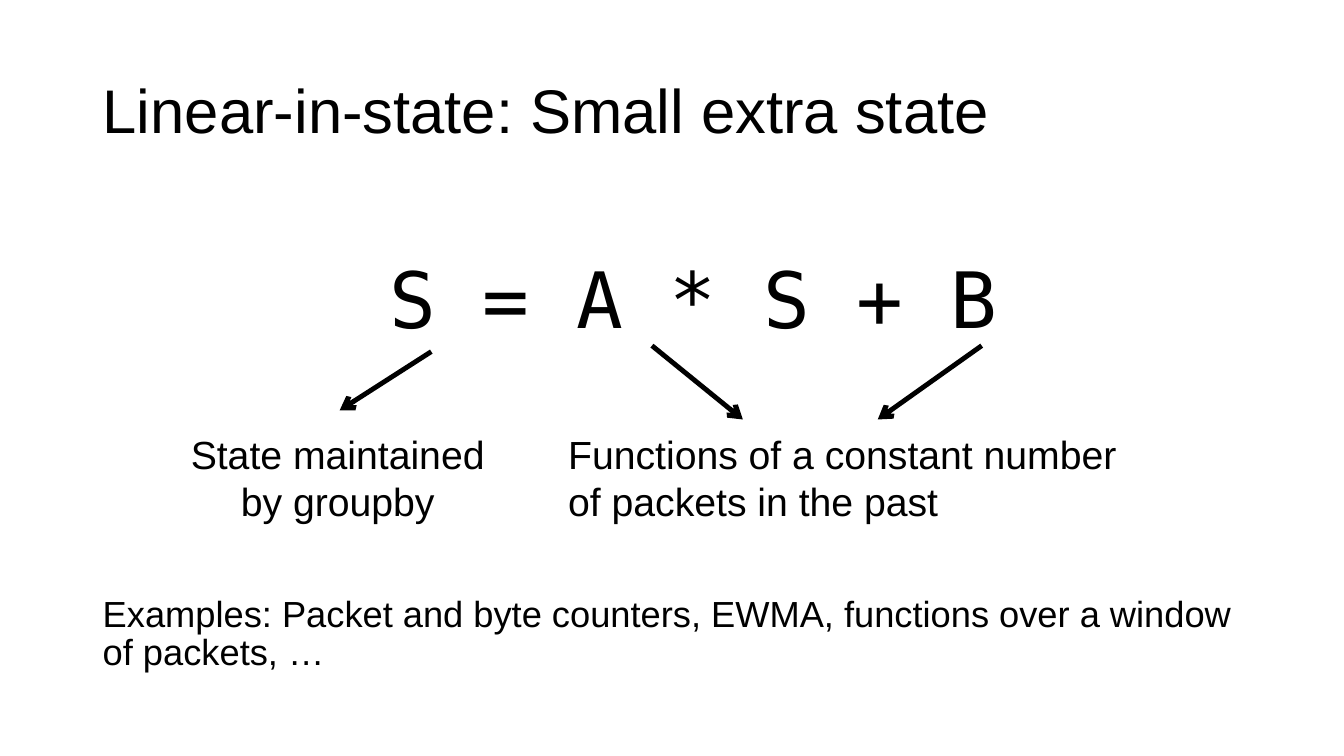
from typing import NamedTuple

from lxml import etree
from pptx import Presentation
from pptx import util as u
from pptx.dml.color import RGBColor
from pptx.enum import shapes, text
from pptx.oxml import ns

BLACK = RGBColor(0x00, 0x00, 0x00)
SANS = "Arial"
MONO = "DejaVu Sans Mono"
LEFT = text.PP_ALIGN.LEFT
CENTER = text.PP_ALIGN.CENTER
TOP = text.MSO_ANCHOR.TOP
MIDDLE = text.MSO_ANCHOR.MIDDLE


class Label(NamedTuple):
    """A text box; lengths in centimetres, size in points."""
    words: str
    left: float
    top: float
    width: float
    height: float
    size: float
    font: str = SANS
    align: text.PP_ALIGN = LEFT
    anchor: text.MSO_ANCHOR = TOP
    spacing: float = 1.0


class Arrow(NamedTuple):
    """A line from a formula term to its explanation, in centimetres."""
    start_x: float
    start_y: float
    end_x: float
    end_y: float


LABELS = [
    Label("Linear-in-state: Small extra state", 2.34, 1.02, 29.21, 3.68, 44,
          anchor=MIDDLE, spacing=0.9),
    Label("S = A * S + B", 8.48, 6.2, 18, 2.5, 55.5, font=MONO, align=CENTER),
    Label("State maintained by groupby", 3.94, 10.72, 9.14, 2.64, 28, align=CENTER),
    Label("Functions of a constant number of packets in the past",
          14.07, 10.72, 14.68, 2.64, 28),
    Label("Examples: Packet and byte counters, EWMA, functions over a window "
          "of packets, …", 2.34, 14.94, 29.21, 2.2, 25.9, spacing=0.86),
]

ARROWS = [
    Arrow(10.87, 8.86, 8.56, 10.34),
    Arrow(16.43, 8.71, 18.72, 10.57),
    Arrow(24.74, 8.71, 22.12, 10.57),
]


def add_label(page, label: Label) -> None:
    box = page.shapes.add_textbox(u.Cm(label.left), u.Cm(label.top),
                                  u.Cm(label.width), u.Cm(label.height))
    frame = box.text_frame
    frame.word_wrap = True
    frame.vertical_anchor = label.anchor
    para = frame.paragraphs[0]
    para.text = label.words
    para.alignment = label.align
    para.line_spacing = label.spacing
    para.font.name = label.font
    para.font.size = u.Pt(label.size)
    para.font.color.rgb = BLACK


def add_arrow(page, arrow: Arrow) -> None:
    connector = page.shapes.add_connector(
        shapes.MSO_CONNECTOR.STRAIGHT,
        u.Cm(arrow.start_x), u.Cm(arrow.start_y), u.Cm(arrow.end_x), u.Cm(arrow.end_y))
    connector.line.color.rgb = BLACK
    connector.line.width = u.Pt(3.5)
    etree.SubElement(connector.line._get_or_add_ln(), ns.qn("a:tailEnd"), type="arrow")
    etree.SubElement(connector._element.spPr, ns.qn("a:effectLst"))


def main() -> None:
    deck = Presentation()
    deck.slide_width = u.Cm(33.87)
    deck.slide_height = u.Cm(19.05)
    page = deck.slides.add_slide(deck.slide_layouts[6])
    for label in LABELS:
        add_label(page, label)
    for arrow in ARROWS:
        add_arrow(page, arrow)
    deck.save("out.pptx")


if __name__ == "__main__":
    main()
